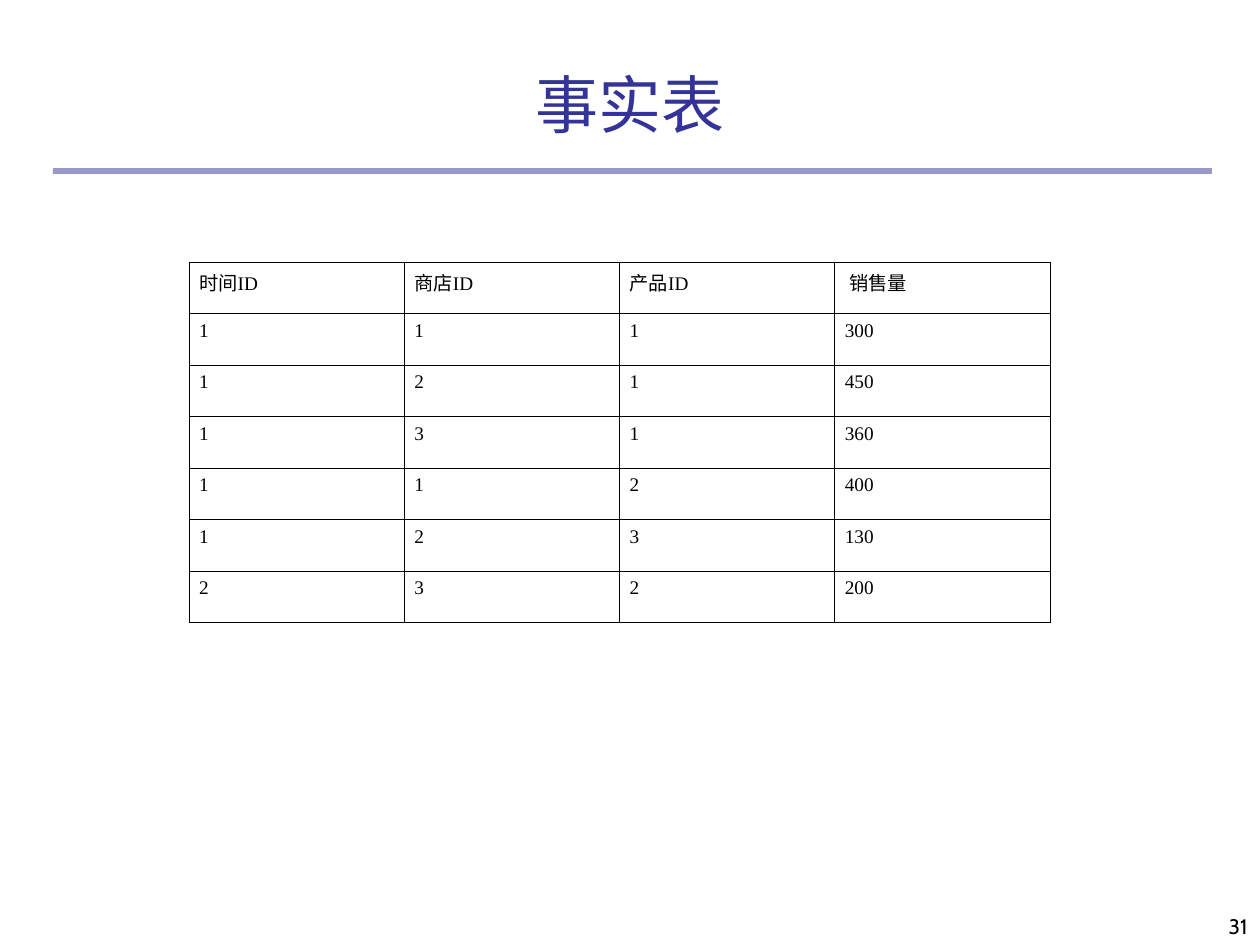
import pptx
import pptx.dml.color
import pptx.enum.shapes
import pptx.enum.text
import pptx.oxml
import pptx.oxml.ns
import pptx.util

PX = 914400 / 126
ALIGN = pptx.enum.text.PP_ALIGN
ANCHOR = pptx.enum.text.MSO_ANCHOR
NAVY, BLACK, WHITE = "333399", "000000", "FFFFFF"
HEADING_FONT, TABLE_FONT = "Cabin", "Times New Roman"

FACTS = [
    ["时间ID", "商店ID", "产品ID", " 销售量"],
    [1, 1, 1, 300],
    [1, 2, 1, 450],
    [1, 3, 1, 360],
    [1, 1, 2, 400],
    [1, 2, 3, 130],
    [2, 3, 2, 200],
]


def px(n):
    return pptx.util.Emu(round(n * PX))


def rgb(color):
    return pptx.dml.color.RGBColor.from_string(color)


def xml(body):
    return pptx.oxml.parse_xml(body.replace(">", f" {pptx.oxml.ns.nsdecls('a')}>", 1))


def write(tf, text, size, font, color, align):
    p = tf.paragraphs[0]
    p.text = text
    p.alignment = align
    f = p.runs[0].font
    f.size, f.name = pptx.util.Pt(size), font
    f.color.rgb = rgb(color)


def add_title(s, box, text):
    sp = s.shapes.title
    sp.left, sp.top, sp.width, sp.height = map(px, box)
    tf = sp.text_frame
    tf.auto_size = pptx.enum.text.MSO_AUTO_SIZE.NONE
    tf.vertical_anchor = ANCHOR.BOTTOM
    write(tf, text, 36, HEADING_FONT, NAVY, ALIGN.CENTER)


def add_rule(s, box):
    sp = s.shapes.add_shape(pptx.enum.shapes.MSO_SHAPE.RECTANGLE, *map(px, box))
    sp.shadow.inherit = False
    sp.line.fill.background()
    sp.fill.solid()
    sp.fill.fore_color.rgb = rgb(NAVY)
    # Half transparent
    color = sp.fill._xPr.find(".//" + pptx.oxml.ns.qn("a:srgbClr"))
    color.append(xml('<a:alpha val="50000"></a:alpha>'))


def format_cell(cell, text):
    cell.margin_left = cell.margin_right = pptx.util.Inches(0.08)
    cell.margin_top = cell.margin_bottom = pptx.util.Inches(0.05)
    write(cell.text_frame, text, 11, TABLE_FONT, BLACK, ALIGN.JUSTIFY)
    # Borders come before the fill in the cell properties
    tcPr = cell._tc.get_or_add_tcPr()
    for side in "LRTB":
        tcPr.append(xml(
            f'<a:ln{side} w="5715"><a:solidFill><a:srgbClr val="{BLACK}"/>'
            f'</a:solidFill></a:ln{side}>'))
    cell.fill.solid()
    cell.fill.fore_color.rgb = rgb(WHITE)


def add_fact_table(s, box, rows):
    x, y, w, h = box
    table = s.shapes.add_table(len(rows), len(rows[0]), *map(px, box)).table
    for column in table.columns:
        column.width = px(w / len(rows[0]))
    for row, values in zip(table.rows, rows):
        row.height = px(h / len(rows))
        for cell, value in zip(row.cells, values):
            format_cell(cell, str(value))


def add_page_number(s, box, number):
    tf = s.shapes.add_textbox(*map(px, box)).text_frame
    tf.word_wrap = True
    tf.vertical_anchor = ANCHOR.BOTTOM
    write(tf, str(number), 12, HEADING_FONT, BLACK, ALIGN.RIGHT)


def main():
    prs = pptx.Presentation()
    prs.slide_width, prs.slide_height = px(1260), px(945)
    s = prs.slides.add_slide(prs.slide_layouts[5])
    add_rule(s, (53, 168, 1159, 6))
    add_title(s, (53, 53, 1155, 94), "事实表")
    add_fact_table(s, (189, 262, 861, 361), FACTS)
    add_page_number(s, (998, 882, 262, 63), 31)
    prs.save("out.pptx")


if __name__ == "__main__":
    main()
